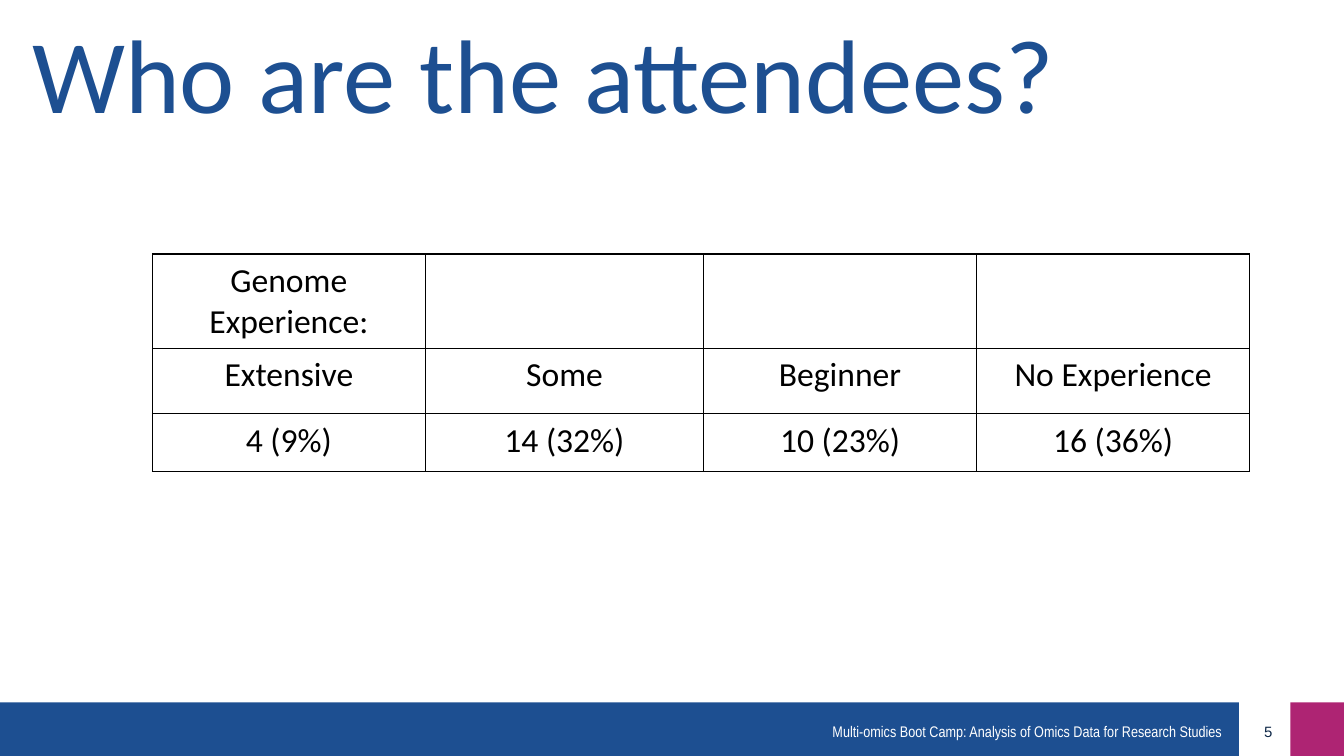
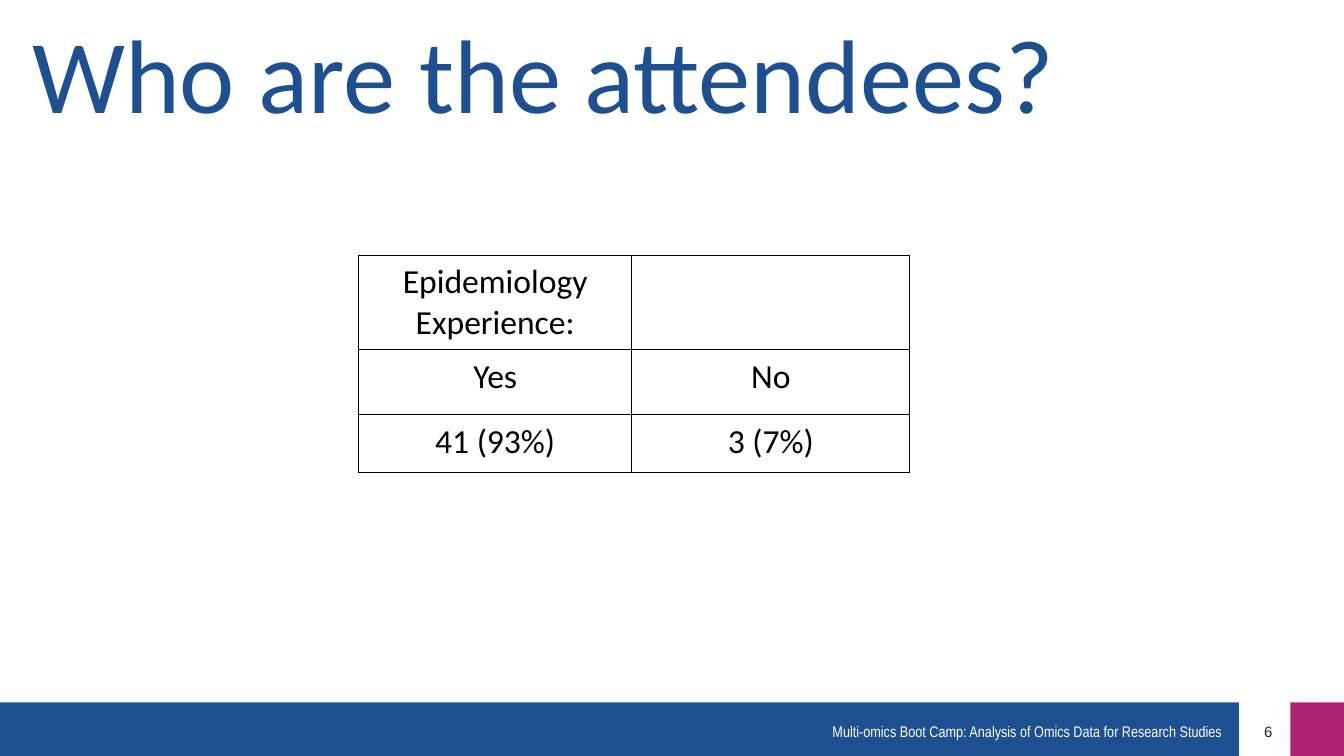
from dataclasses import dataclass

from lxml import etree
from pptx import Presentation
from pptx.dml.color import RGBColor
from pptx.enum.shapes import MSO_SHAPE
from pptx.enum.text import MSO_ANCHOR, MSO_AUTO_SIZE, PP_ALIGN
from pptx.oxml.ns import qn
from pptx.util import Cm, Pt

RECT = MSO_SHAPE.RECTANGLE
LEFT, MID, RIGHT = PP_ALIGN.LEFT, PP_ALIGN.CENTER, PP_ALIGN.RIGHT
TOP = MSO_ANCHOR.TOP
GROW, FIXED = MSO_AUTO_SIZE.SHAPE_TO_FIT_TEXT, MSO_AUTO_SIZE.NONE


@dataclass(frozen=True)
class Theme:
    blue: str = "1D4F91"
    pink: str = "AE2473"
    navy: str = "0F2848"
    white: str = "FFFFFF"
    black: str = "000000"
    sans: str = "Calibri"
    plain: str = "Arial"
    narrow: str = "Arial Narrow"
    title: float = 74.7
    body: float = 24
    foot: float = 11
    page: float = 10.7
    rule: float = 1


THEME = Theme()
WIDE, HIGH = 33.87, 19.05
BAND = 1.35
WIDTHS = (6.88, 7.01, 6.88, 6.88)
HEIGHTS = (2.36, 1.65, 1.45)
INSET = (0.34, 0.17, 0.34, 0.17)

TITLE = "Who are the attendees?"
FOOTER = "Multi-omics Boot Camp: Analysis of Omics Data for Research Studies"
SLIDES = [
    (5, (3.84, 6.4), [
        ["Genome Experience:", "", "", ""],
        ["Extensive", "Some", "Beginner", "No Experience"],
        ["4 (9%)", "14 (32%)", "10 (23%)", "16 (36%)"],
    ]),
    (6, (9.04, 6.43), [
        ["Epidemiology Experience:", ""],
        ["Yes", "No"],
        ["41 (93%)", "3 (7%)"],
    ]),
]


def apply(target, values):
    for name, value in values.items():
        setattr(target, name, value)


def pad(target, inset):
    """Set the margins of a text frame or a table cell."""
    sides = ("left", "top", "right", "bottom")
    apply(target, {f"margin_{side}": Cm(gap) for side, gap in zip(sides, inset)})


def write(frame, text, font, size, color, align):
    para = frame.paragraphs[0]
    para.alignment = align
    run = para.add_run()
    run.text = text
    apply(run.font, {"name": font, "size": Pt(size)})
    run.font.color.rgb = RGBColor.from_string(color)


def add_text(slide, box, text, font, size, color, align=LEFT,
             inset=(0.25, 0.13, 0.25, 0.13), wrap=True, fit=GROW):
    frame = slide.shapes.add_textbox(*map(Cm, box)).text_frame
    apply(frame, {"word_wrap": wrap, "auto_size": fit, "vertical_anchor": TOP})
    pad(frame, inset)
    write(frame, text, font, size, color, align)


def add_block(slide, left, width, color):
    """Draw one filled part of the bottom band."""
    block = slide.shapes.add_shape(
        RECT, Cm(left), Cm(HIGH - BAND), Cm(width), Cm(BAND))
    block.shadow.inherit = False
    block.fill.solid()
    block.fill.fore_color.rgb = RGBColor.from_string(color)
    block.line.fill.background()


def add_frame(slide, page):
    """Add the band, page number, footer and title that all slides share."""
    add_block(slide, 0, 31.22, THEME.blue)
    add_block(slide, WIDE - BAND, BAND, THEME.pink)
    add_text(slide, (31.19, 18.03, 1.22, 0.79), str(page), THEME.plain,
             THEME.page, THEME.navy, align=RIGHT, inset=INSET)
    add_text(slide, (20.73, 18.06, 10.39, 0.74), FOOTER, THEME.narrow,
             THEME.foot, THEME.white, wrap=False)
    add_text(slide, (0.81, 0.23, 32.5, 4.24), TITLE, THEME.sans,
             THEME.title, THEME.blue, inset=(0, 0, 0, 0), fit=FIXED)


def add_edges(cell):
    props = cell._tc.get_or_add_tcPr()
    for spot, side in enumerate(("lnL", "lnR", "lnT", "lnB")):
        line = etree.Element(qn(f"a:{side}"), w=str(Pt(THEME.rule)))
        fill = etree.SubElement(line, qn("a:solidFill"))
        etree.SubElement(fill, qn("a:srgbClr"), val=THEME.black)
        props.insert(spot, line)


def add_grid(slide, spot, rows):
    widths = WIDTHS[:len(rows[0])]
    table = slide.shapes.add_table(
        len(rows), len(widths), *map(Cm, spot),
        Cm(sum(widths)), Cm(sum(HEIGHTS))).table
    apply(table, {"first_row": False, "horz_banding": False})
    for col, width in zip(table.columns, widths):
        col.width = Cm(width)
    for row, height, texts in zip(table.rows, HEIGHTS, rows):
        row.height = Cm(height)
        for cell, text in zip(row.cells, texts):
            cell.fill.background()
            pad(cell, INSET)
            add_edges(cell)
            if text:
                write(cell.text_frame, text, THEME.sans, THEME.body,
                      THEME.black, MID)


def main():
    deck = Presentation()
    apply(deck, {"slide_width": Cm(WIDE), "slide_height": Cm(HIGH)})
    for page, spot, rows in SLIDES:
        slide = deck.slides.add_slide(deck.slide_layouts[6])
        add_frame(slide, page)
        add_grid(slide, spot, rows)
    deck.save("out.pptx")


if __name__ == "__main__":
    main()
